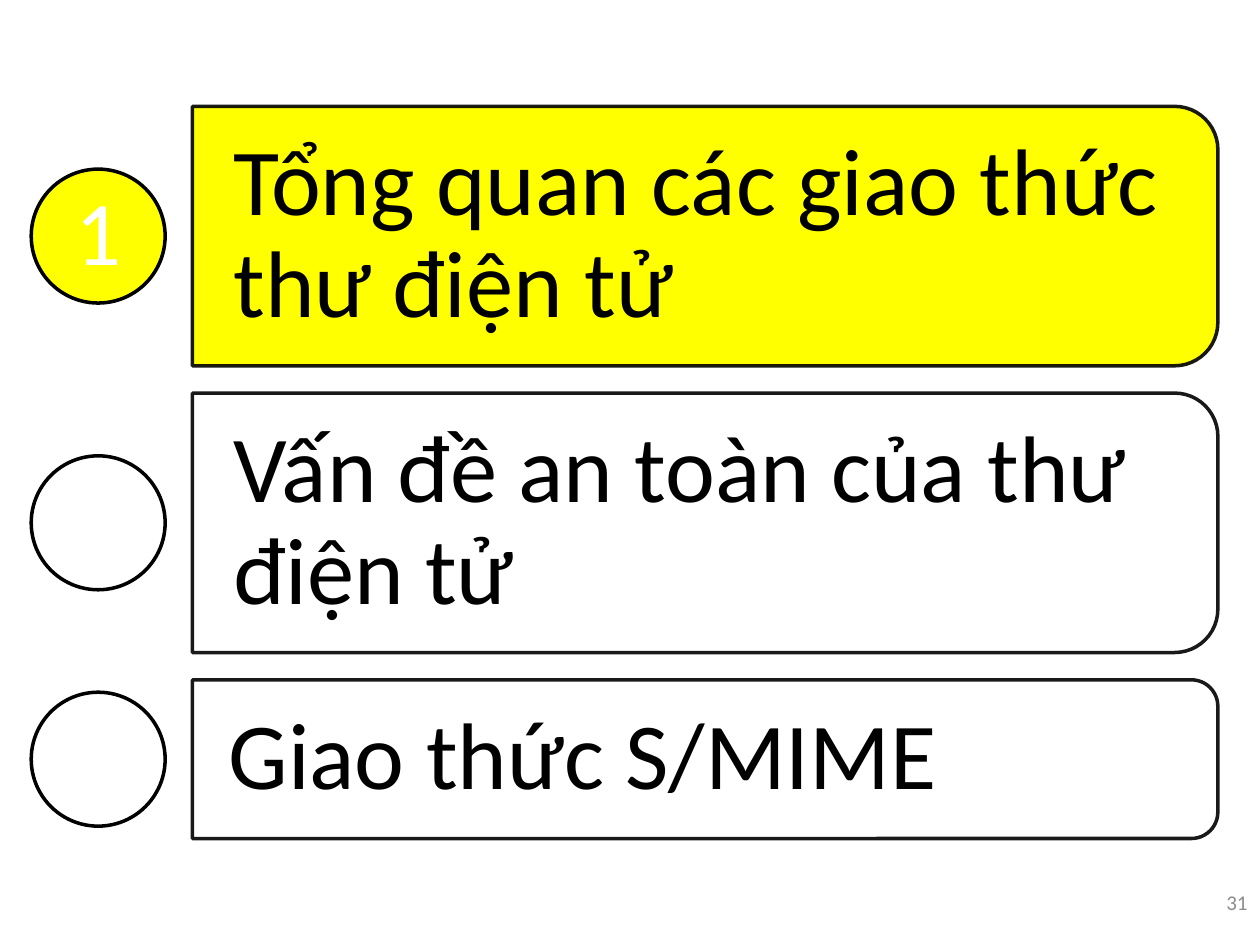
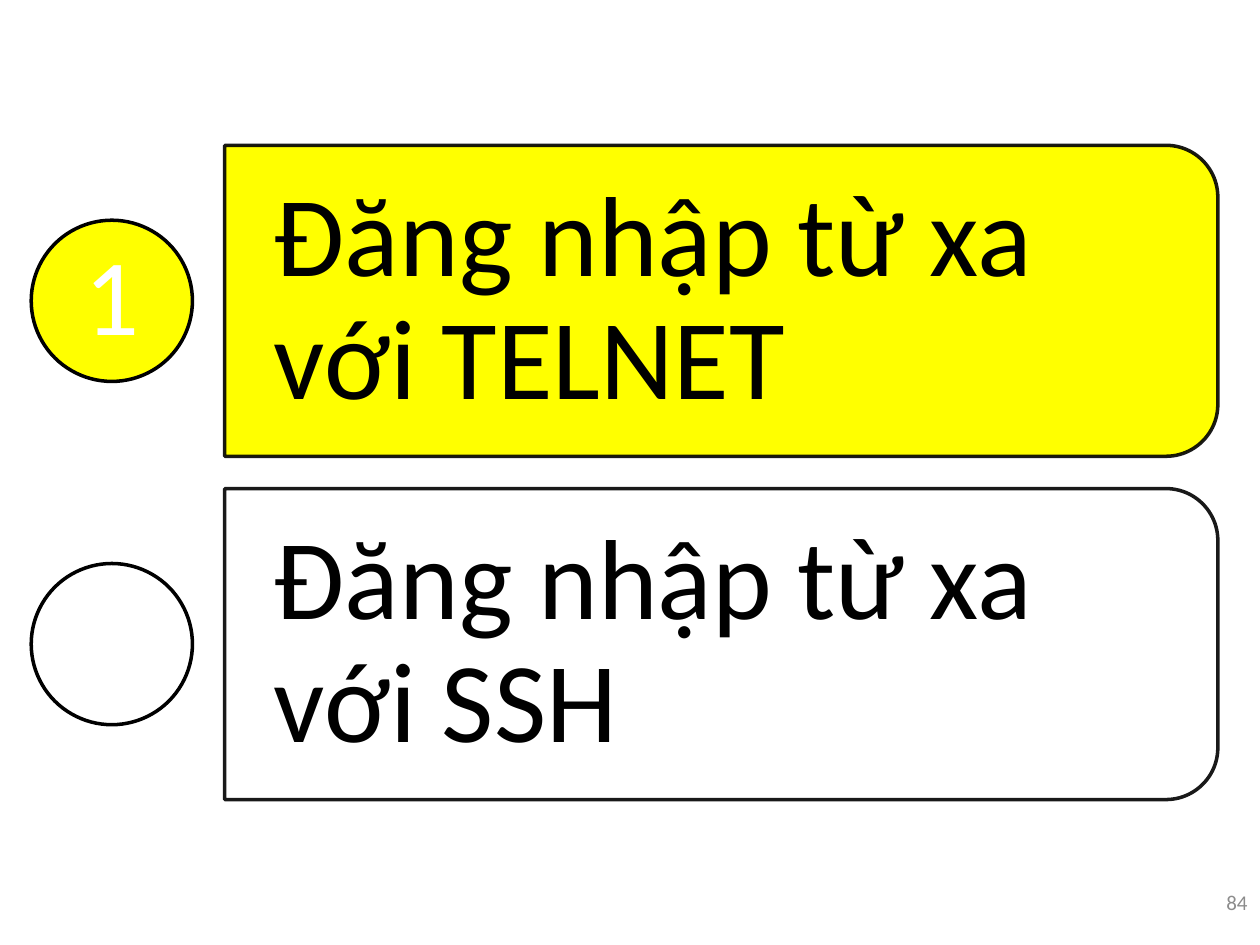
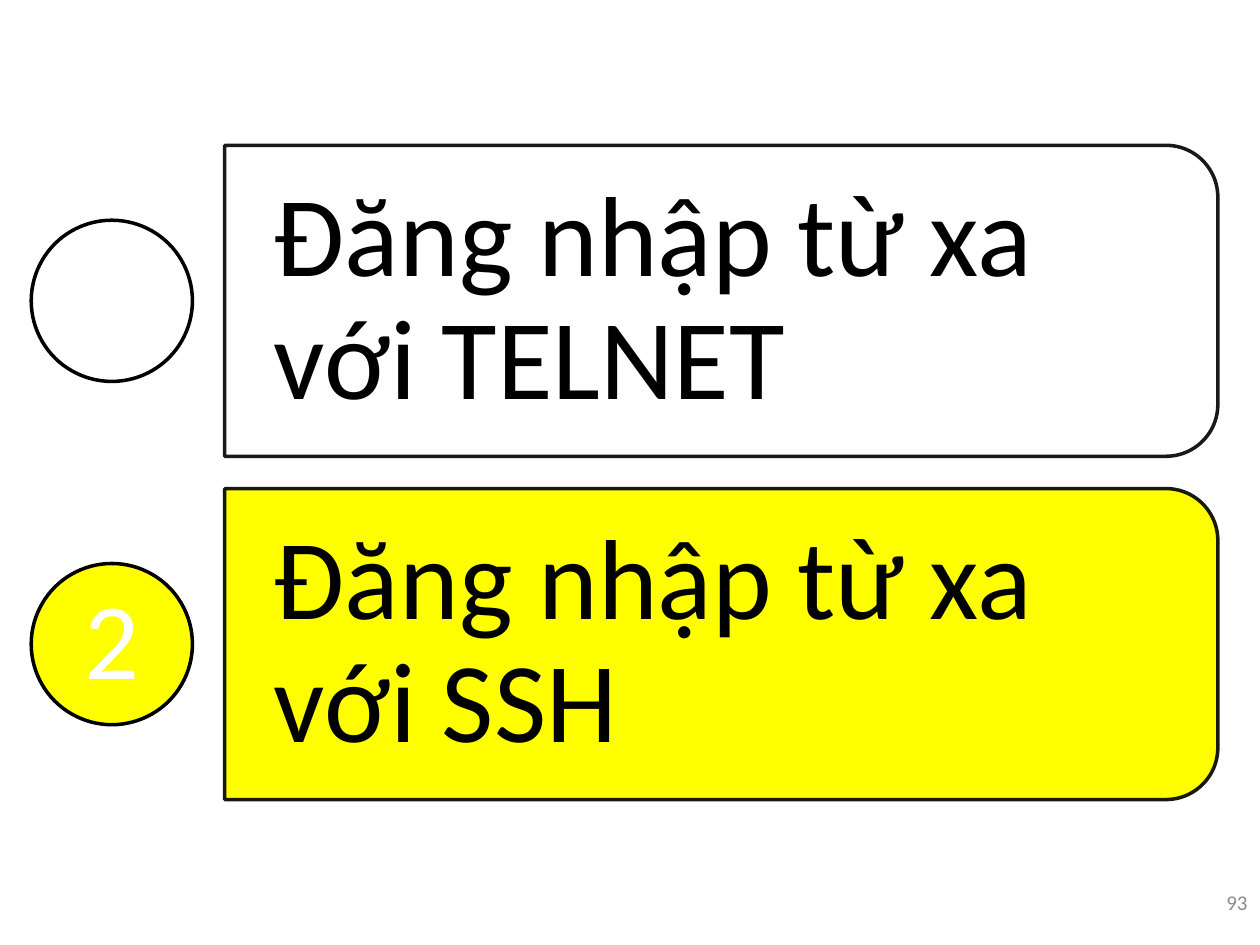
"""Build three agenda slides whose current topic is highlighted."""
from dataclasses import dataclass

from lxml import etree
from pptx import Presentation
from pptx import util as u
from pptx.dml import color
from pptx.enum import shapes, text
from pptx.oxml import ns


@dataclass(frozen=True)
class Theme:
    font: str = "Calibri"
    ink: str = "000000"
    paper: str = "FFFFFF"
    highlight: str = "FFFF00"
    footer: str = "8C8C8C"
    footer_size: int = 12
    outline: int = 2
    opacity: int = 90
    line_spacing: float = 0.9
    space_after: float = 0.35


@dataclass(frozen=True)
class Layout:
    circle: float
    gap: float
    topic_size: int
    number_size: int


@dataclass(frozen=True)
class Topic:
    title: str
    height: float


@dataclass(frozen=True)
class Agenda:
    layout: Layout
    topics: tuple[Topic, ...]
    current: int
    page_number: int


@dataclass(frozen=True)
class Area:
    left: float
    top: float
    width: float
    height: float

    def lengths(self) -> tuple[u.Cm, ...]:
        return tuple(u.Cm(v) for v in (self.left, self.top, self.width, self.height))

    def inset(self, margin: float) -> "Area":
        return Area(self.left + margin, self.top + margin,
                    self.width - 2 * margin, self.height - 2 * margin)

    def turned(self) -> "Area":
        shift = (self.width - self.height) / 2
        return Area(self.left + shift, self.top - shift, self.height, self.width)


THEME = Theme()
PAGE_WIDTH, PAGE_HEIGHT = 25.4, 19.05
CIRCLE_LEFT, BAR_RIGHT = 0.63, 24.55
CORNER_INSET = 0.0488
FOOTER = Area(23.7, 17.32, 1.7, 1.73)

THREE_ROWS = Layout(circle=2.7, gap=0.55, topic_size=54, number_size=52)
TWO_ROWS = Layout(circle=3.25, gap=0.65, topic_size=65, number_size=62)
MAIL = (
    Topic("Tổng quan các giao thức thư điện tử", 5.23),
    Topic("Vấn đề an toàn của thư điện tử", 5.23),
    Topic("Giao thức S/MIME", 3.2),
)
REMOTE_LOGIN = (
    Topic("Đăng nhập từ xa với TELNET", 6.27),
    Topic("Đăng nhập từ xa với SSH", 6.27),
)
AGENDAS = (
    Agenda(THREE_ROWS, MAIL, 1, 31),
    Agenda(TWO_ROWS, REMOTE_LOGIN, 1, 84),
    Agenda(TWO_ROWS, REMOTE_LOGIN, 2, 93),
)


def rgb(value: str) -> color.RGBColor:
    return color.RGBColor.from_string(value)


def set_opacity(shape, query: str) -> None:
    for paint in shape.element.spPr.xpath(query):
        etree.SubElement(paint, ns.qn("a:alpha"), val=str(THEME.opacity * 1000))


def add_outlined(page, kind, area: Area, fill: str):
    shape = page.shapes.add_shape(kind, *area.lengths())
    shape.shadow.inherit = False
    shape.fill.solid()
    shape.fill.fore_color.rgb = rgb(fill)
    shape.line.color.rgb = rgb(THEME.ink)
    shape.line.width = u.Pt(THEME.outline)
    return shape


def write(shape, words: str, size: int, ink: str, align, margins=None):
    frame = shape.text_frame
    frame.word_wrap = True
    frame.vertical_anchor = text.MSO_ANCHOR.MIDDLE
    if margins is not None:
        across, down = margins
        frame.margin_left = frame.margin_right = u.Pt(across)
        frame.margin_top = frame.margin_bottom = u.Pt(down)
    para = frame.paragraphs[0]
    para.alignment = align
    span = para.add_run()
    span.text = words
    span.font.name = THEME.font
    span.font.size = u.Pt(size)
    span.font.color.rgb = rgb(ink)
    return para


def set_spacing(para, size: int) -> None:
    para.line_spacing = THEME.line_spacing
    para.space_after = u.Pt(size * THEME.space_after)


def add_bar(page, area: Area, topic: Topic, size: int, active: bool) -> None:
    bar = add_outlined(page, shapes.MSO_SHAPE.ROUND_2_SAME_RECTANGLE, area.turned(),
                       THEME.highlight if active else THEME.paper)
    bar.rotation = 90
    set_opacity(bar, "./a:ln/a:solidFill/a:srgbClr")
    if not active:
        set_opacity(bar, "./a:solidFill/a:srgbClr")
    label = area.inset(area.height * CORNER_INSET)
    box = page.shapes.add_textbox(*label.lengths())
    para = write(box, topic.title, size, THEME.ink, text.PP_ALIGN.LEFT,
                 (size * 0.3, size * 0.2))
    set_spacing(para, size)


def add_circle(page, area: Area, number: int, size: int, active: bool) -> None:
    circle = add_outlined(page, shapes.MSO_SHAPE.OVAL, area,
                          THEME.highlight if active else THEME.paper)
    if active:
        para = write(circle, str(number), size, THEME.paper, text.PP_ALIGN.CENTER, (0, 0))
        set_spacing(para, size)


def add_agenda(deck, agenda: Agenda) -> None:
    page = deck.slides.add_slide(deck.slide_layouts[6])
    layout = agenda.layout
    bar_left = CIRCLE_LEFT + layout.circle + layout.gap
    stack = sum(topic.height + layout.gap for topic in agenda.topics) - layout.gap
    top = (PAGE_HEIGHT - stack) / 2
    for number, topic in enumerate(agenda.topics, start=1):
        active = number == agenda.current
        bar = Area(bar_left, top, BAR_RIGHT - bar_left, topic.height)
        circle = Area(CIRCLE_LEFT, top + (topic.height - layout.circle) / 2,
                      layout.circle, layout.circle)
        add_bar(page, bar, topic, layout.topic_size, active)
        add_circle(page, circle, number, layout.number_size, active)
        top += topic.height + layout.gap
    footer = page.shapes.add_textbox(*FOOTER.lengths())
    write(footer, str(agenda.page_number), THEME.footer_size, THEME.footer,
          text.PP_ALIGN.RIGHT)


def main() -> None:
    deck = Presentation()
    deck.slide_width, deck.slide_height = u.Cm(PAGE_WIDTH), u.Cm(PAGE_HEIGHT)
    for agenda in AGENDAS:
        add_agenda(deck, agenda)
    deck.save("out.pptx")


if __name__ == "__main__":
    main()
